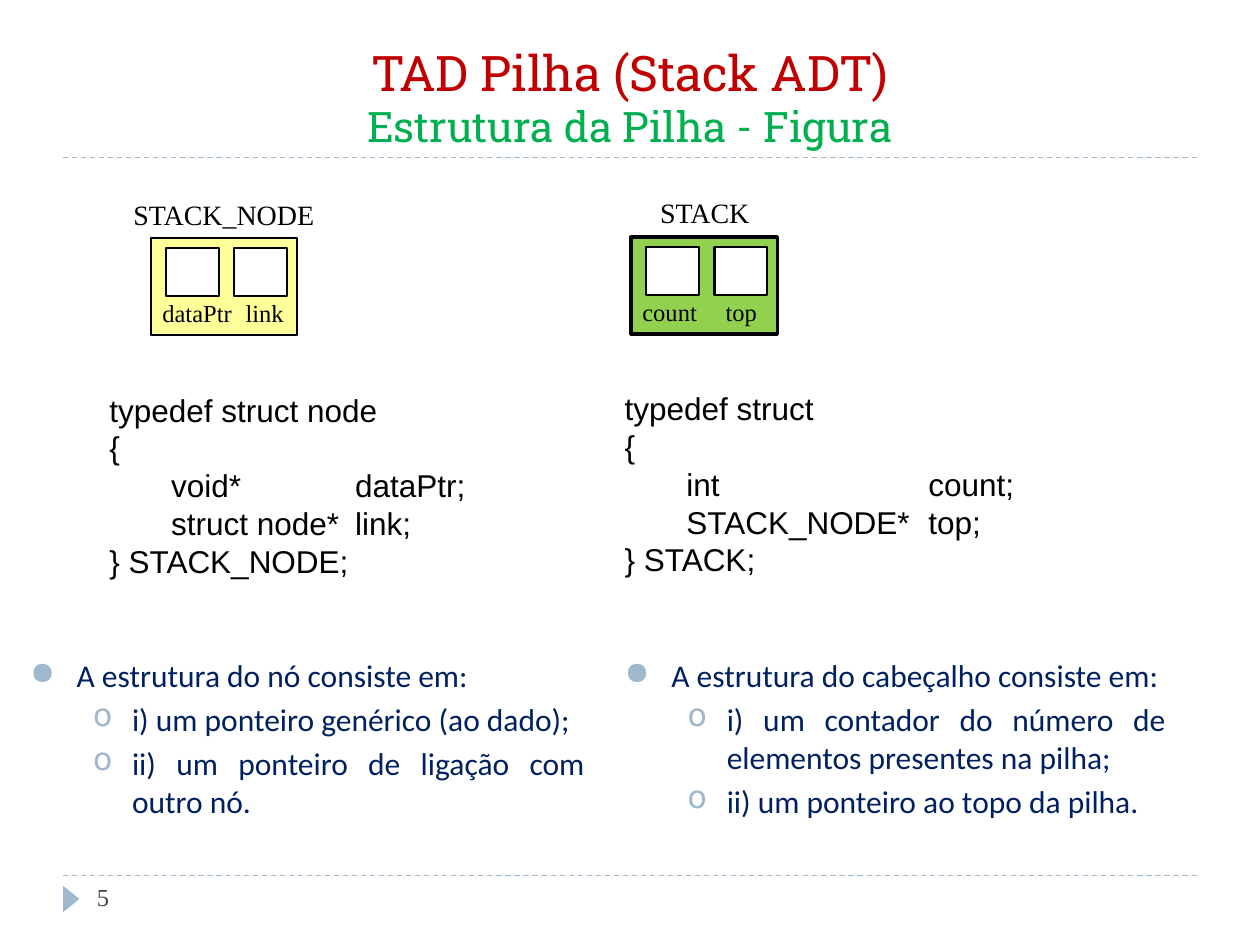
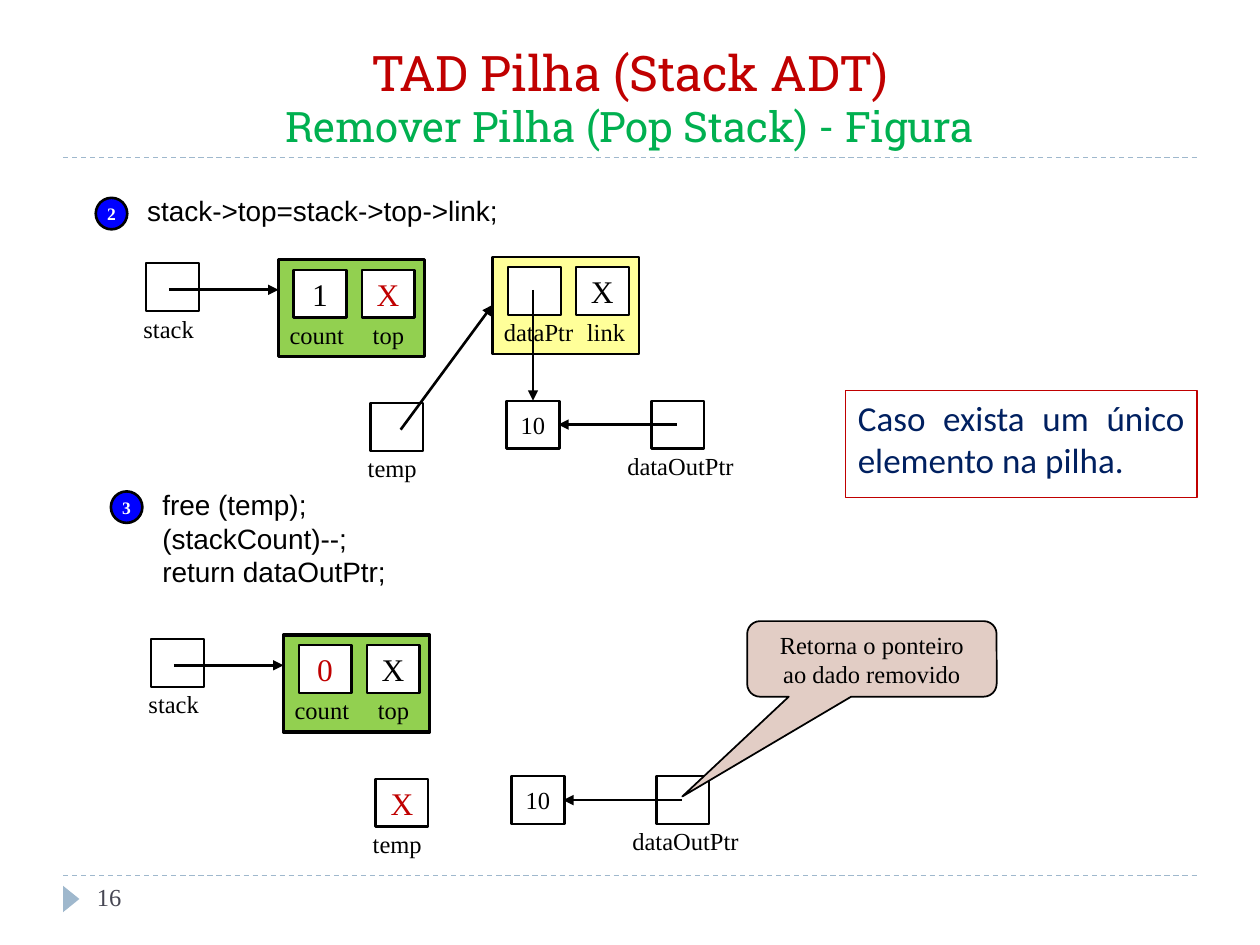
from dataclasses import dataclass

from lxml import etree
from pptx import Presentation
from pptx.dml.color import RGBColor
from pptx.enum.dml import MSO_LINE
from pptx.enum.shapes import MSO_CONNECTOR, MSO_SHAPE
from pptx.enum.text import MSO_ANCHOR, PP_ALIGN
from pptx.oxml.ns import qn
from pptx.util import Emu, Pt

RECT, OVAL = MSO_SHAPE.RECTANGLE, MSO_SHAPE.OVAL
TRIANGLE, CALLOUT = MSO_SHAPE.ISOSCELES_TRIANGLE, MSO_SHAPE.ROUNDED_RECTANGULAR_CALLOUT
STRAIGHT, DASH = MSO_CONNECTOR.STRAIGHT, MSO_LINE.DASH
TOP, MIDDLE, BOTTOM = MSO_ANCHOR.TOP, MSO_ANCHOR.MIDDLE, MSO_ANCHOR.BOTTOM
LEFT, CENTER, JUSTIFY = PP_ALIGN.LEFT, PP_ALIGN.CENTER, PP_ALIGN.JUSTIFY

PX = 9144
BLACK, WHITE, RED, GREEN = "000000", "FFFFFF", "C00000", "00B050"
ACCENT, NAVY, GREY, BLUE = "9FB8CD", "002060", "464653", "0000FF"
HEAD_FILL, NODE_FILL, NOTE_FILL = "92D050", "FFFF99", "E2CDC5"
SERIF, SANS, BODY, SLAB = "Times New Roman", "Arial", "Calibri", "Roboto Slab"
SLOT_W, SLOT_H = 42, 38


@dataclass(frozen=True)
class Run:
    text: str
    size: int = 14
    font: str = SERIF
    color: str = BLACK
    bold: bool = False
    new_line: bool = False


@dataclass(frozen=True)
class Para:
    runs: tuple[Run, ...]
    align: PP_ALIGN = LEFT
    bullet: str = ""
    level: int = 0
    tabs: tuple[int, ...] = ()


@dataclass(frozen=True)
class Struct:
    fill: str
    line: float
    labels: tuple[str, str]
    widths: tuple[int, int]


@dataclass(frozen=True)
class PopState:
    dx: int
    dy: int
    count: Run
    top: Run
    temp: Run | None = None


HEAD = Struct(HEAD_FILL, 2, ("count", "top"), (64, 45))
NODE = Struct(NODE_FILL, 1.25, ("dataPtr", "link"), (76, 51))


def px(n: int) -> Emu:
    return Emu(n * PX)


def rgb(value: str) -> RGBColor:
    return RGBColor.from_string(value)


def write(tf, paras: list[Para], anchor=TOP, wrap: bool = True) -> None:
    tf.word_wrap = wrap
    tf.vertical_anchor = anchor
    for i, para in enumerate(paras):
        p = tf.paragraphs[0] if i == 0 else tf.add_paragraph()
        p.alignment = para.align
        p.level = para.level
        pPr = p._p.get_or_add_pPr()
        if para.bullet:
            p.space_before = Pt(3.6 * para.level)
            margin, indent = ((37, 37), (81, 31))[para.level]
            pPr.set("marL", str(px(margin)))
            pPr.set("indent", str(px(-indent)))
            clr = etree.SubElement(pPr, qn("a:buClr"))
            etree.SubElement(clr, qn("a:srgbClr"), val=ACCENT)
            etree.SubElement(pPr, qn("a:buChar"), char=para.bullet)
        if para.tabs:
            tab_list = etree.SubElement(pPr, qn("a:tabLst"))
            for pos in para.tabs:
                etree.SubElement(tab_list, qn("a:tab"), pos=str(px(pos)), algn="l")
        for run in para.runs:
            if run.new_line:
                p.add_line_break()
            r = p.add_run()
            r.text = run.text
            r.font.size, r.font.name, r.font.bold = Pt(run.size), run.font, run.bold
            r.font.color.rgb = rgb(run.color)


def text(shapes, x: int, y: int, w: int, h: int, paras: list[Para],
         anchor=TOP, wrap: bool = True) -> None:
    write(shapes.add_textbox(px(x), px(y), px(w), px(h)).text_frame, paras, anchor, wrap)


def label(shapes, x: int, y: int, w: int, value: str, size: int = 14) -> None:
    text(shapes, x, y, w, 34, [Para((Run(value, size),))], wrap=False)


def shape(shapes, kind, x: int, y: int, w: int, h: int, fill: str | None = None,
          line: str | None = None, width: float = 1.25):
    sp = shapes.add_shape(kind, px(x), px(y), px(w), px(h))
    sp.shadow.inherit = False
    if fill:
        sp.fill.solid()
        sp.fill.fore_color.rgb = rgb(fill)
    else:
        sp.fill.background()
    if line:
        sp.line.color.rgb = rgb(line)
        sp.line.width = Pt(width)
    else:
        sp.line.fill.background()
    return sp


def slot(shapes, x: int, y: int, run: Run | None = None) -> None:
    sp = shape(shapes, RECT, x, y, SLOT_W, SLOT_H, WHITE, BLACK)
    if run:
        write(sp.text_frame, [Para((run,), CENTER)], MIDDLE)


def line(s, x1: int, y1: int, x2: int, y2: int, color: str, width: float):
    c = s.shapes.add_connector(STRAIGHT, px(x1), px(y1), px(x2), px(y2))
    c.line.color.rgb = rgb(color)
    c.line.width = Pt(width)
    etree.SubElement(c._element.spPr, qn("a:effectLst"))
    return c


def arrow(s, x1: int, y1: int, x2: int, y2: int) -> None:
    c = line(s, x1, y1, x2, y2, BLACK, 1.5)
    etree.SubElement(c.line._get_or_add_ln(), qn("a:tailEnd"), type="triangle")


def struct(s, kind: Struct, x: int, y: int,
           values: tuple[Run | None, Run | None] = (None, None)) -> None:
    shapes = s.shapes.add_group_shape().shapes
    shape(shapes, RECT, x, y, 116, 77, kind.fill, BLACK, kind.line)
    for i, (name, width, value) in enumerate(zip(kind.labels, kind.widths, values)):
        slot(shapes, x + 12 + 54 * i, y + 8, value)
        label(shapes, x - 1 + 66 * i, y + 43, width, name)


def base(prs, subtitle: str, number: int):
    s = prs.slides.add_slide(prs.slide_layouts[6])
    for y in (695, 125):
        line(s, 50, y, 950, y, ACCENT, 0.75).line.dash_style = DASH
    shape(s.shapes, TRIANGLE, 46, 707, 21, 13, ACCENT).rotation = 90
    title = (Run("TAD Pilha (Stack ADT)", 28, SLAB, RED),
             Run(subtitle, 24, SLAB, GREEN, new_line=True))
    text(s.shapes, 50, 25, 900, 100, [Para(title, CENTER)], BOTTOM)
    text(s.shapes, 67, 695, 217, 40, [Para((Run(str(number), color=GREY),))])
    return s


def code(s, x: int, y: int, w: int, h: int, lines: list[str], size: int,
         tabs: tuple[int, ...] = ()) -> None:
    text(s.shapes, x, y, w, h, [Para((Run(t, size, SANS),), tabs=tabs) for t in lines])


def bullets(s, x: int, w: int, lines: list[str]) -> None:
    paras = [Para((Run(t, 18, BODY, NAVY),), JUSTIFY, "o" if i else "●", min(i, 1))
             for i, t in enumerate(lines)]
    text(s.shapes, x, 516, w, 143, paras)


def step(s, x: int, y: int, number: int) -> None:
    sp = shape(s.shapes, OVAL, x, y, 25, 25, BLUE, BLACK, 1.5)
    write(sp.text_frame, [Para((Run(str(number), 10, color=WHITE, bold=True),), CENTER)],
          MIDDLE, wrap=False)


def pop_state(s, state: PopState) -> None:
    dx, dy = state.dx, state.dy
    slot(s.shapes, 116 + dx, 209 + dy)
    label(s.shapes, 104 + dx, 244 + dy, 61, "stack")
    struct(s, HEAD, 221 + dx, 206 + dy, (state.count, state.top))
    arrow(s, 134 + dx, 230 + dy, 221 + dx, 230 + dy)
    slot(s.shapes, 402 + dx, 318 + dy, Run("10"))
    slot(s.shapes, 294 + dx, 320 + dy, state.temp)
    label(s.shapes, 282 + dx, 355 + dy, 59, "temp")
    slot(s.shapes, 517 + dx, 318 + dy)
    label(s.shapes, 488 + dx, 353 + dy, 105, "dataOutPtr")
    arrow(s, 537 + dx, 337 + dy, 443 + dx, 337 + dy)


def structure_slide(prs) -> None:
    s = base(prs, "Estrutura da Pilha - Figura", 5)
    label(s.shapes, 514, 150, 92, "STACK", 16)
    struct(s, HEAD, 501, 188)
    label(s.shapes, 96, 152, 165, "STACK_NODE", 16)
    struct(s, NODE, 120, 189)
    code(s, 77, 305, 305, 162,
         ["typedef struct node", "{", "\tvoid*\tdataPtr;", "\tstruct node*\tlink;",
          "} STACK_NODE;"], 18, (49, 195))
    code(s, 486, 304, 333, 162,
         ["typedef struct", "{", "\tint\tcount;", "\tSTACK_NODE*\ttop;", "} STACK;"],
         18, (49, 241))
    bullets(s, 14, 460, ["A estrutura do nó consiste em:",
                         "i) um ponteiro genérico (ao dado);",
                         "ii) um ponteiro de ligação com outro nó."])
    bullets(s, 486, 449, ["A estrutura do cabeçalho consiste em:",
                          "i) um contador do número de elementos presentes na pilha;",
                          "ii) um ponteiro ao topo da pilha."])


def pop_slide(prs) -> None:
    s = base(prs, "Remover Pilha (Pop Stack) - Figura", 16)
    null, red_null = Run("X", 18), Run("X", 18, color=RED)
    code(s, 107, 149, 353, 37, ["stack->top=stack->top->link;"], 16)
    step(s, 76, 157, 2)
    pop_state(s, PopState(0, 0, Run("1", 18), red_null))
    struct(s, NODE, 391, 204, (None, null))
    arrow(s, 423, 230, 423, 318)
    arrow(s, 318, 341, 391, 242)
    code(s, 119, 382, 209, 91,
         ["free (temp);", "(stackCount)--;", "return dataOutPtr;"], 16)
    step(s, 88, 390, 3)
    pop_state(s, PopState(4, 298, Run("0", 18, color=RED), null, red_null))
    sp = shape(s.shapes, CALLOUT, 593, 493, 198, 60, NOTE_FILL, BLACK, 1)
    for i, value in enumerate((-0.762, 1.821, 0.167)):
        sp.adjustments[i] = round(value, 2)
    write(sp.text_frame, [Para((Run(t),), CENTER)
                          for t in ("Retorna o ponteiro", "ao dado removido")], MIDDLE)
    sp = shape(s.shapes, RECT, 671, 310, 279, 85, line=RED, width=0.75)
    note = Run("Caso exista um único elemento na pilha.", 20, BODY, NAVY)
    write(sp.text_frame, [Para((note,), JUSTIFY)])


def main() -> None:
    prs = Presentation()
    prs.slide_width, prs.slide_height = px(1000), px(750)
    structure_slide(prs)
    pop_slide(prs)
    prs.save("out.pptx")


if __name__ == "__main__":
    main()
